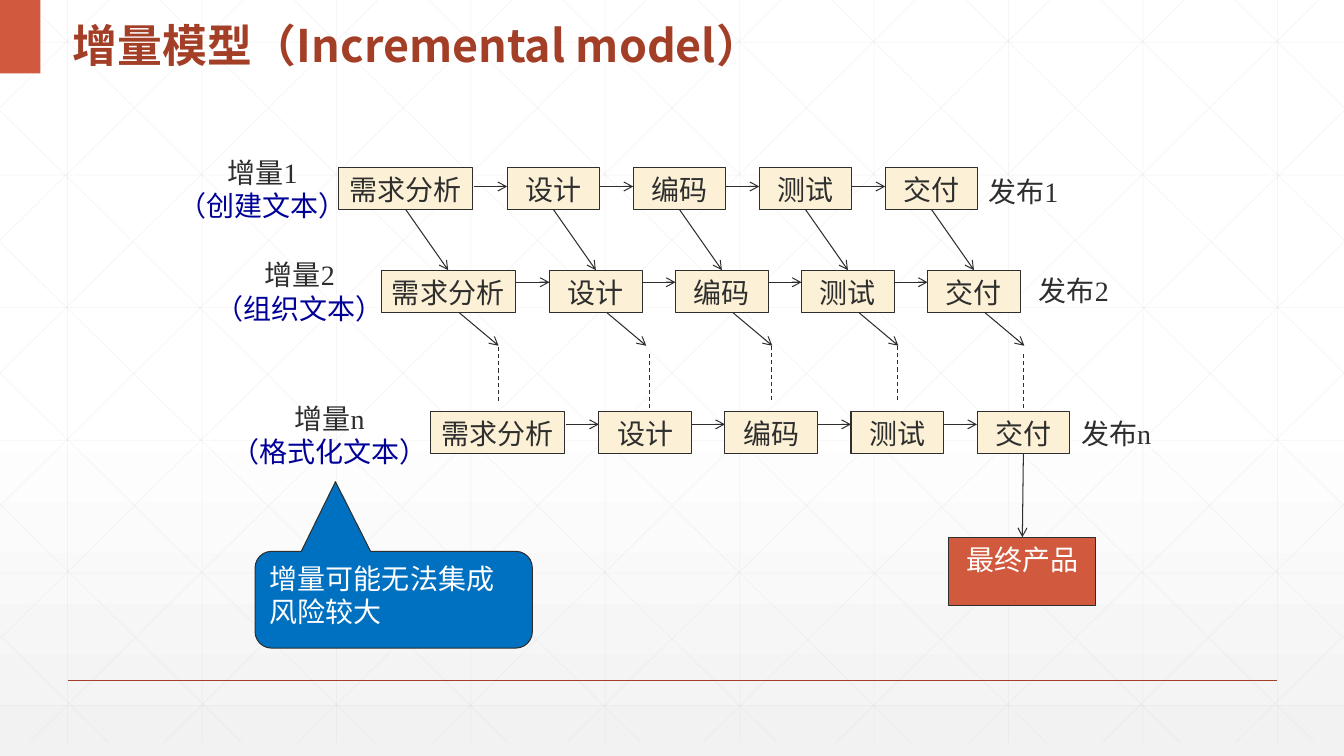
from lxml import etree
from pptx import Presentation
from pptx.dml.color import RGBColor
from pptx.enum.dml import MSO_LINE
from pptx.enum.shapes import MSO_CONNECTOR, MSO_SHAPE
from pptx.enum.text import MSO_ANCHOR, MSO_AUTO_SIZE, PP_ALIGN
from pptx.oxml.ns import qn
from pptx.util import Inches, Pt

W, H = 13.33, 7.5
INK, RUST, BRICK, CREAM = "2D2E2D", "A43F27", "D15A3E", "FCF1D6"
BLUE, NAVY, WHITE, GREY = "0070C0", "000099", "FFFFFF", "D9D9D9"
rgb = RGBColor.from_string

prs = Presentation()
prs.slide_width, prs.slide_height = Inches(W), Inches(H)
s = prs.slides.add_slide(prs.slide_layouts[5])


def line(x1, y1, x2, y2, color=INK, width=0.75, arrow=False):
    c = s.shapes.add_connector(MSO_CONNECTOR.STRAIGHT, Inches(x1), Inches(y1),
                               Inches(x2), Inches(y2))
    c.line.color.rgb = rgb(color)
    c.line.width = Pt(width)
    if arrow:
        etree.SubElement(c.line._get_or_add_ln(), qn("a:tailEnd"), type="arrow")
    etree.SubElement(c._element.spPr, qn("a:effectLst"))
    return c


def box(x, y, w, h, lines, fill=None, shape=MSO_SHAPE.RECTANGLE,
        align=PP_ALIGN.CENTER):
    """Add a filled shape, or a text box without fill; lines are (text, colour)."""
    at = [Inches(v) for v in (x, y, w, h)]
    if fill:
        sp = s.shapes.add_shape(shape, *at)
        sp.shadow.inherit = False
        sp.fill.solid()
        sp.fill.fore_color.rgb = rgb(fill)
        sp.line.color.rgb = rgb(INK)
        sp.line.width = Pt(0.75)
    else:
        sp = s.shapes.add_textbox(*at)
    tf = sp.text_frame
    tf.word_wrap = True
    tf.vertical_anchor = MSO_ANCHOR.TOP
    for i, (text, color) in enumerate(lines):
        p = tf.add_paragraph() if i else tf.paragraphs[0]
        p.text = text
        p.alignment = align
        p.font.name = "Times New Roman"
        p.font.size = Pt(20)
        p.font.color.rgb = rgb(color)
    return sp


# Background: fade to light grey, with a faint lattice
bg = s.background.fill
bg.gradient()
bg.gradient_angle = 270
for stop, position, color in zip(bg.gradient_stops, (0.53, 1), (WHITE, "F2F2F2")):
    stop.position = position
    stop.color.rgb = rgb(color)

STEP, BOTTOM, RUN = 4 / 3, 7.37, 7.46
lattice = [(0.67 + STEP * k, 0, 0.67 + STEP * k, BOTTOM) for k in range(10)]
lattice += [(0, 0.42 + 1.316 * k, W, 0.42 + 1.316 * k) for k in range(6)]
diagonals = []
for k in range(10):
    x = 0.25 + STEP * k
    end = min(x + RUN, W)
    diagonals.append((x, 0, end, (end - x) * BOTTOM / RUN))
for k in range(5):
    diagonals.append((1.08 + 1.32 * k, BOTTOM, 0, 6.3 - 1.3 * k))
lattice += diagonals + [(W - x1, y1, W - x2, y2) for x1, y1, x2, y2 in diagonals]
for ends in lattice:
    c = line(*ends, color=GREY, width=0.5)
    color = c._element.spPr.find(".//" + qn("a:srgbClr"))
    etree.SubElement(color, qn("a:alpha"), val="25000")

# Frame and title
line(0.67, 6.75, 12.67, 6.75, RUST, 1)
tab = box(0, 0, 0.4, 0.73, [], BRICK)
tab.line.fill.background()

title = s.shapes.title
s.shapes._spTree.append(title._element)
title.left, title.top, title.width, title.height = [
    Inches(v) for v in (0.62, 0, 8.91, 0.73)]
tf = title.text_frame
tf.text = "增量模型（Incremental model）"
tf.auto_size = MSO_AUTO_SIZE.NONE
tf.vertical_anchor = MSO_ANCHOR.MIDDLE
p = tf.paragraphs[0]
p.alignment = PP_ALIGN.LEFT
p.line_spacing = 1.3
p.font.name = "Noto Sans CJK SC"
p.font.size = Pt(32)
p.font.bold = True
p.font.color.rgb = rgb(RUST)
etree.SubElement(p._p.pPr.find(qn("a:defRPr")), qn("a:ea"),
                 typeface="Noto Sans CJK SC")

# Stages: (name, offset from the row's left, width)
GAP, BOX_H = 0.33, 0.42
stages = [("需求分析", 0, 1.33)]
stages += [(name, 1.67 + 1.25 * i, 0.92)
           for i, name in enumerate(["设计", "编码", "测试", "交付"])]

# Rows: left, top, arrow height, label, purpose, label place, release, release place
rows = [
    (3.36, 1.66, 1.85, "增量1", "（创建文本）", (1.6, 1.49, 2.01, 0.72),
     "发布1", (9.69, 1.68)),
    (3.78, 2.68, 2.8, "增量2", "（组织文本）", (2.01, 2.51, 1.93, 0.83),
     "发布2", (10.19, 2.66)),
    (4.27, 4.08, 4.21, "增量n", "（格式化文本）", (2.01, 3.93, 2.52, 0.66),
     "发布n", (10.61, 4.08)),
]

# Continuation from the second row towards the last one
for name, offset, width in stages:
    x = rows[1][0] + offset + width / 2
    line(x, 3.01, x + 0.5, 3.43, arrow=True)
for x, top in [(4.94, 3.44), (6.44, 3.51), (7.65, 3.43), (8.9, 3.43), (10.15, 3.51)]:
    line(x, top, x, top + 0.57).line.dash_style = MSO_LINE.DASH

grid = []
for left, top, arrow_y, label, purpose, place, release, (rx, ry) in rows:
    box(*place, [(label, INK), (purpose, NAVY)])
    box(rx, ry, 0.92, 0.6, [(release, INK)])
    grid.append([box(left + offset, top, width, BOX_H, [(name, INK)], CREAM)
                 for name, offset, width in stages])
    for name, offset, width in stages[1:]:
        line(left + offset - GAP, arrow_y, left + offset, arrow_y, arrow=True)

final = box(9.41, 5.33, 1.46, 0.68, [("最终产品", WHITE)], BRICK)
for upper, lower in [*zip(grid[0], grid[1]), (grid[2][-1], final)]:
    c = line(0, 0, 1, 1, arrow=True)
    c.begin_connect(upper, 2)
    c.end_connect(lower, 0)

risk = box(2.53, 5.47, 2.75, 0.96, [("增量可能无法集成", WHITE), ("风险较大", WHITE)],
           BLUE, MSO_SHAPE.ROUNDED_RECTANGULAR_CALLOUT, PP_ALIGN.LEFT)
for i, value in enumerate((-0.21, -1.22, 0.17)):
    risk.adjustments[i] = value

prs.save("out.pptx")
